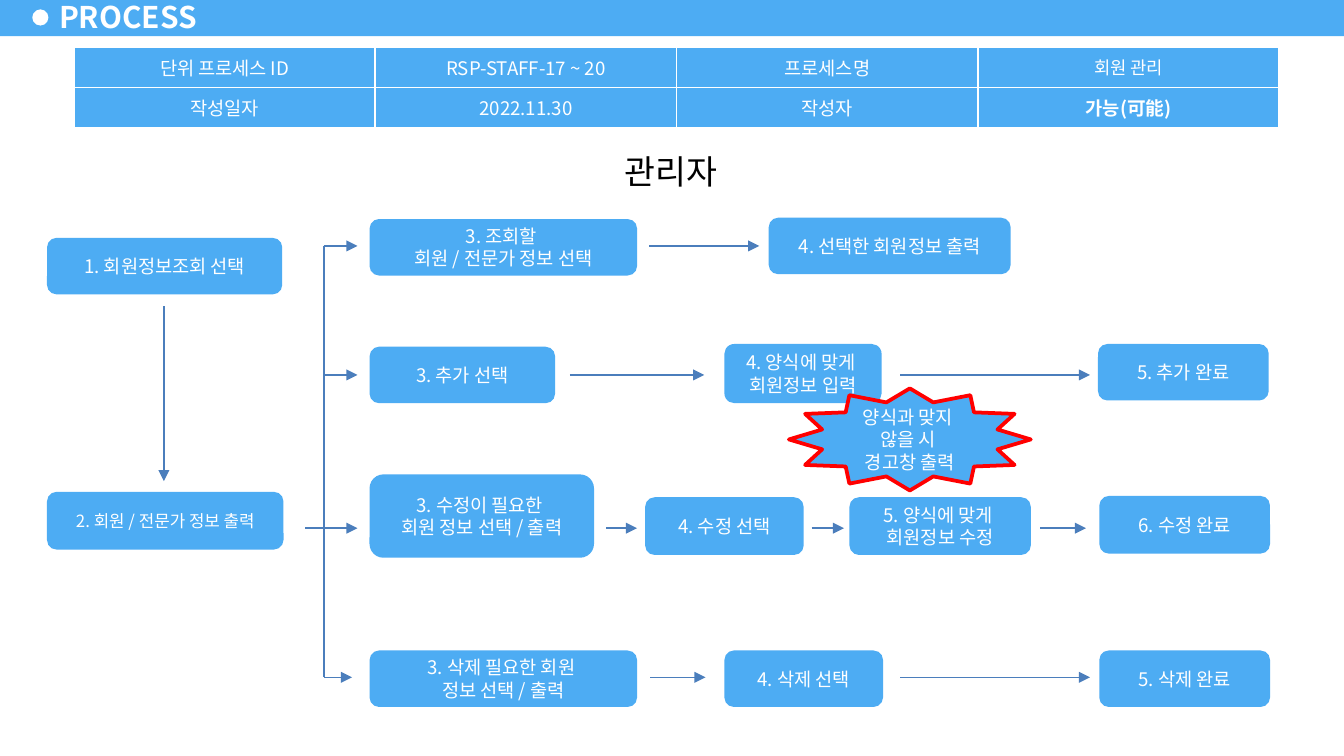
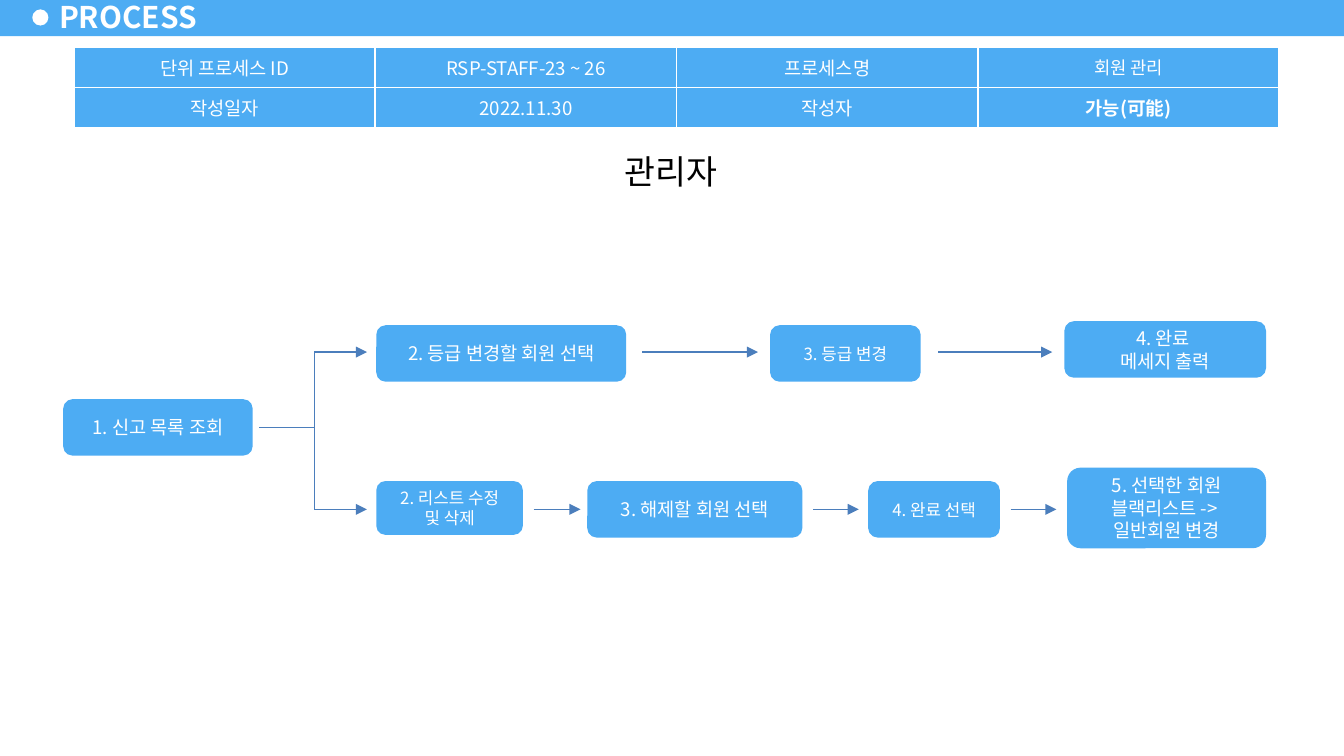
from dataclasses import dataclass

from lxml.etree import SubElement
from pptx import Presentation
from pptx.dml.color import RGBColor as Rgb
from pptx.enum.shapes import MSO_CONNECTOR as Link
from pptx.enum.shapes import MSO_SHAPE as Form
from pptx.enum.text import MSO_ANCHOR as Anchor
from pptx.enum.text import PP_ALIGN as Align
from pptx.oxml.ns import qn
from pptx.slide import Slide
from pptx.text.text import TextFrame
from pptx.util import Inches, Pt


@dataclass(frozen=True)
class Theme:
    font: str = "Noto Sans CJK KR"
    blue: str = "4DACF3"
    line: str = "4B7EBC"
    white: str = "FFFFFF"
    black: str = "000000"
    red: str = "FF0000"
    title: float = 16
    head: float = 18
    body: float = 10
    cell: float = 9.5
    small: float = 9
    thin: float = 0.75
    rule: float = 1
    thick: float = 2


THEME = Theme()


@dataclass(frozen=True)
class Step:
    left: float
    top: float
    width: float
    height: float
    text: str
    size: float = THEME.body


@dataclass(frozen=True)
class Wire:
    x1: float
    y1: float
    x2: float
    y2: float
    arrow: bool = True


@dataclass(frozen=True)
class Row:
    y: float
    spans: tuple[tuple[float, float], ...]

    def wires(self) -> list[Wire]:
        return [Wire(start, self.y, end, self.y) for start, end in self.spans]


@dataclass(frozen=True)
class Page:
    code: str
    steps: tuple[Step, ...]
    rows: tuple[Row, ...]
    stems: tuple[Wire, ...]
    alert: Step | None = None


PAGES = (
    Page(
        "RSP-STAFF-17 ~ 20",
        (
            Step(0.35, 1.77, 1.75, 0.42, "1. 회원정보조회 선택"),
            Step(0.35, 3.66, 1.76, 0.43, "2. 회원 / 전문가 정보 출력", THEME.small),
            Step(2.75, 1.63, 1.99, 0.42, "3. 조회할 \n회원 / 전문가 정보 선택"),
            Step(5.72, 1.62, 1.8, 0.42, "4. 선택한 회원정보 출력"),
            Step(2.75, 2.58, 1.38, 0.42, "3. 추가 선택"),
            Step(5.39, 2.56, 1.17, 0.44, "4. 양식에 맞게 \n회원정보 입력"),
            Step(8.17, 2.56, 1.27, 0.42, "5. 추가 완료"),
            Step(2.75, 3.53, 1.67, 0.62, "3. 수정이 필요한 \n회원 정보 선택 / 출력"),
            Step(4.8, 3.7, 1.18, 0.43, "4. 수정 선택"),
            Step(6.32, 3.7, 1.35, 0.43, "5. 양식에 맞게 \n회원정보 수정"),
            Step(8.18, 3.69, 1.27, 0.43, "6. 수정 완료"),
            Step(2.75, 4.84, 1.99, 0.42, "3. 삭제 필요한 회원 \n정보 선택 / 출력"),
            Step(5.39, 4.84, 1.18, 0.42, "4. 삭제 선택"),
            Step(8.18, 4.84, 1.27, 0.42, "5. 삭제 완료"),
        ),
        (
            Row(1.83, ((2.41, 2.66), (4.83, 5.65))),
            Row(2.79, ((2.41, 2.66), (4.24, 5.24), (6.7, 8.11))),
            Row(3.93, ((2.27, 2.66), (4.51, 4.74), (6.04, 6.28), (7.74, 8.08))),
            Row(5.04, ((2.41, 2.62), (4.84, 5.25), (6.7, 8.11))),
        ),
        (Wire(1.22, 2.28, 1.22, 3.58), Wire(2.41, 1.83, 2.41, 5.04, False)),
        Step(5.87, 2.89, 1.8, 0.76, "양식과 맞지 \v않을 시 \v경고창 출력"),
    ),
    Page(
        "RSP-STAFF-23 ~ 26",
        (
            Step(0.47, 2.97, 1.41, 0.42, "1. 신고 목록 조회"),
            Step(2.8, 2.42, 1.86, 0.42, "2. 등급 변경할 회원 선택"),
            Step(5.73, 2.42, 1.12, 0.42, "3. 등급 변경", THEME.small),
            Step(7.92, 2.39, 1.5, 0.42, "4. 완료 \n메세지 출력"),
            Step(2.8, 3.58, 1.09, 0.4, "2. 리스트 수정 및 삭제", THEME.small),
            Step(4.37, 3.58, 1.6, 0.42, "3. 해제할 회원 선택"),
            Step(6.46, 3.58, 0.98, 0.42, "4. 완료 선택", THEME.small),
            Step(7.94, 3.48, 1.48, 0.6, "5. 선택한 회원\v블랙리스트 -> \n일반회원 변경"),
        ),
        (
            Row(2.62, ((2.34, 2.73), (4.78, 5.64), (6.98, 7.83))),
            Row(3.79, ((2.34, 2.73), (3.97, 4.32), (6.05, 6.39), (7.52, 7.86))),
        ),
        (
            Wire(2.34, 2.62, 2.34, 3.79, False),
            Wire(2.34, 3.18, 1.93, 3.18, False),
        ),
    ),
)


def write(
    frame: TextFrame,
    text: str,
    size: float,
    color: str = THEME.white,
    bold: bool = False,
    align: Align = Align.CENTER,
) -> None:
    frame.text = text
    for para in frame.paragraphs:
        para.alignment = align
        for run in para.runs:
            font = run.font
            font.size = Pt(size)
            font.bold = bold
            font.color.rgb = Rgb.from_string(color)
            font.name = THEME.font
            SubElement(font._element, qn("a:ea"), typeface=THEME.font)


def block(
    slide: Slide,
    form: Form,
    step: Step,
    fill: str = THEME.blue,
    color: str = THEME.white,
    edge: str | None = None,
) -> None:
    place = map(Inches, (step.left, step.top, step.width, step.height))
    shape = slide.shapes.add_shape(form, *place)
    shape.shadow.inherit = False
    shape.fill.solid()
    shape.fill.fore_color.rgb = Rgb.from_string(fill)
    if edge:
        shape.line.color.rgb = Rgb.from_string(edge)
        shape.line.width = Pt(THEME.thick)
    else:
        shape.line.fill.background()
    if step.text:
        frame = shape.text_frame
        frame.word_wrap = True
        frame.vertical_anchor = Anchor.MIDDLE
        write(frame, step.text, step.size, color)


def join(slide: Slide, wire: Wire) -> None:
    ends = map(Inches, (wire.x1, wire.y1, wire.x2, wire.y2))
    link = slide.shapes.add_connector(Link.STRAIGHT, *ends)
    link.line.color.rgb = Rgb.from_string(THEME.line)
    link.line.width = Pt(THEME.thin)
    if wire.arrow:
        SubElement(link.line._get_or_add_ln(), qn("a:tailEnd"), type="triangle")
    SubElement(link._element.spPr, qn("a:effectLst"))


def banner(slide: Slide) -> None:
    block(slide, Form.RECTANGLE, Step(0, 0, 10, 0.27, ""))
    block(slide, Form.OVAL, Step(0.24, 0.07, 0.12, 0.12, ""), THEME.white)
    place = map(Inches, (0.35, 0, 1.22, 0.24))
    frame = slide.shapes.add_textbox(*place).text_frame
    frame.word_wrap = True
    frame.vertical_anchor = Anchor.MIDDLE
    frame.margin_left = frame.margin_right = Inches(0.09)
    frame.margin_top = frame.margin_bottom = 0
    write(frame, "PROCESS", THEME.title, bold=True, align=Align.LEFT)


def grid(slide: Slide, code: str) -> None:
    rows = (
        ("단위 프로세스 ID", code, "프로세스명", "회원 관리"),
        ("작성일자", "2022.11.30", "작성자", "가능(可能)"),
    )
    place = map(Inches, (0.55, 0.35, 8.97, 0.6))
    table = slide.shapes.add_table(2, 4, *place).table
    for y, texts in enumerate(rows):
        for x, text in enumerate(texts):
            cell = table.cell(y, x)
            props = cell._tc.get_or_add_tcPr()
            for side in ("lnL", "lnR", "lnT", "lnB"):
                edge = SubElement(props, qn(f"a:{side}"), w=str(Pt(THEME.rule)))
                paint = SubElement(edge, qn("a:solidFill"))
                SubElement(paint, qn("a:srgbClr"), val=THEME.white)
            cell.fill.solid()
            cell.fill.fore_color.rgb = Rgb.from_string(THEME.blue)
            cell.vertical_anchor = Anchor.MIDDLE
            size = THEME.cell if (y, x) == (0, 3) else THEME.body
            write(cell.text_frame, text, size, bold=(y, x) == (1, 3))


def draw(slide: Slide, page: Page) -> None:
    banner(slide)
    grid(slide, page.code)
    head = Step(3.21, 1.07, 3.57, 0.4, "관리자", THEME.head)
    block(slide, Form.RECTANGLE, head, THEME.white, THEME.black)
    for step in page.steps:
        block(slide, Form.ROUNDED_RECTANGLE, step)
    for wire in page.stems:
        join(slide, wire)
    for row in page.rows:
        for wire in row.wires():
            join(slide, wire)
    if page.alert:
        block(slide, Form.STAR_12_POINT, page.alert, edge=THEME.red)


def main() -> None:
    deck = Presentation()
    deck.slide_width = Inches(10)
    deck.slide_height = Inches(10 * 9 / 16)
    for page in PAGES:
        draw(deck.slides.add_slide(deck.slide_layouts[6]), page)
    deck.save("out.pptx")


if __name__ == "__main__":
    main()
